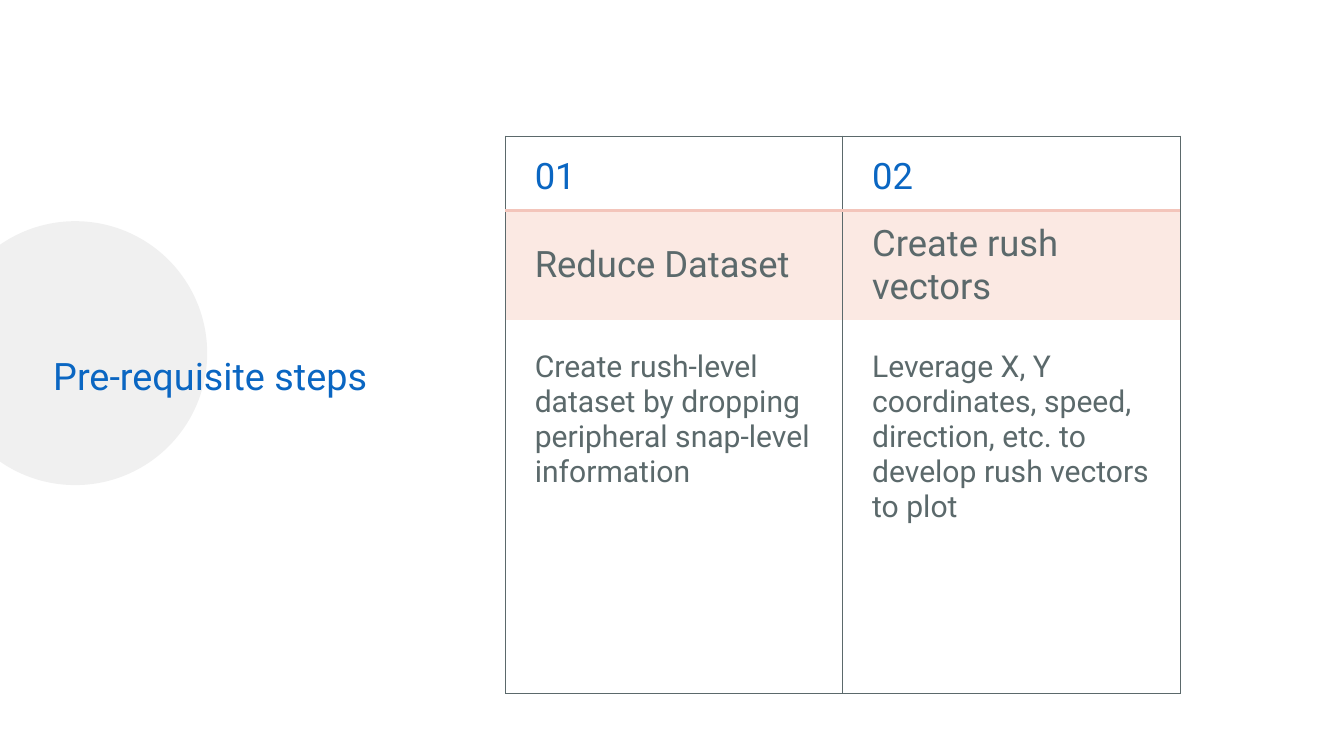
from dataclasses import dataclass
from typing import Optional

from lxml.etree import SubElement
from pptx import Presentation
from pptx.dml.color import RGBColor
from pptx.enum.shapes import MSO_SHAPE as Shape
from pptx.enum.text import MSO_ANCHOR as Anchor, MSO_AUTO_SIZE as AutoSize, PP_ALIGN as Align
from pptx.oxml.ns import qn
from pptx.util import Emu, Pt

PX = 12700  # 1920 x 1080 px slide
FONT = "Roboto"
BLUE = RGBColor(0x0A, 0x66, 0xC2)
SLATE = RGBColor(0x5B, 0x69, 0x6B)
BLUSH = RGBColor(0xFB, 0xE9, 0xE3)
ROSE = RGBColor(0xF3, 0xC5, 0xBB)
PALE_GREY = RGBColor(0xF0, 0xF0, 0xF0)


@dataclass(frozen=True)
class Border:
    color: RGBColor
    width: float


OUTLINE = Border(SLATE, 1)
ACCENT = Border(ROSE, 4.5)


@dataclass(frozen=True)
class RowStyle:
    height: int
    size: int
    color: RGBColor
    anchor: Anchor
    top_margin: int
    bottom_margin: int = 17
    fill: Optional[RGBColor] = None
    top: Optional[Border] = None
    bottom: Optional[Border] = None


@dataclass(frozen=True)
class Step:
    number: str
    name: str
    detail: str


ROWS = [
    RowStyle(107, 52, BLUE, Anchor.BOTTOM, 4, top=OUTLINE, bottom=ACCENT),
    RowStyle(107, 52, SLATE, Anchor.MIDDLE, 17, fill=BLUSH, top=ACCENT),
    RowStyle(534, 43, SLATE, Anchor.TOP, 42, bottom=OUTLINE),
]
STEPS = [
    Step("01", "Reduce Dataset",
         "Create rush-level dataset by dropping peripheral snap-level information"),
    Step("02", "Create rush vectors",
         "Leverage X, Y coordinates, speed, direction, etc. to develop rush vectors to plot"),
]
COLUMN_WIDTH = 482


def px(value: int) -> Emu:
    return Emu(value * PX)


def set_font(paragraph, size: int, color: RGBColor) -> None:
    font = paragraph.font
    font.name, font.size, font.bold = FONT, Pt(size), False
    font.color.rgb = color


def add_border(cell, edge: str, border: Optional[Border]) -> None:
    line = SubElement(cell._tc.get_or_add_tcPr(), qn(f"a:ln{edge}"))
    if border is None:
        SubElement(line, qn("a:noFill"))
        return
    line.set("w", str(Pt(border.width)))
    fill = SubElement(line, qn("a:solidFill"))
    SubElement(fill, qn("a:srgbClr")).set("val", str(border.color))


def format_cell(cell, text: str, style: RowStyle) -> None:
    cell.text = text
    cell.vertical_anchor = style.anchor
    cell.margin_left, cell.margin_right = px(42), px(17)
    cell.margin_top, cell.margin_bottom = px(style.top_margin), px(style.bottom_margin)
    set_font(cell.text_frame.paragraphs[0], style.size, style.color)
    # Borders come before the fill in the cell properties
    for edge, border in zip("LRTB", (OUTLINE, OUTLINE, style.top, style.bottom)):
        add_border(cell, edge, border)
    if style.fill is None:
        cell.fill.background()
    else:
        cell.fill.solid()
        cell.fill.fore_color.rgb = style.fill


def add_title(slide, text: str):
    title = slide.shapes.title
    title.left, title.top, title.width, title.height = px(76), px(449), px(490), px(119)
    frame = title.text_frame
    frame.text = text
    frame.word_wrap = True
    frame.auto_size = AutoSize.NONE
    frame.vertical_anchor = Anchor.BOTTOM
    frame.margin_left = frame.margin_top = frame.margin_right = frame.margin_bottom = 0
    paragraph = frame.paragraphs[0]
    paragraph.alignment = Align.LEFT
    paragraph.space_after = Pt(36)
    set_font(paragraph, 54, BLUE)
    return title


def add_circle(slide):
    circle = slide.shapes.add_shape(Shape.OVAL, px(-81), px(316), px(377), px(377))
    circle.shadow.inherit = False
    circle.fill.solid()
    circle.fill.fore_color.rgb = PALE_GREY
    circle.line.fill.background()
    return circle


def add_steps_table(slide, steps: list[Step]) -> None:
    table = slide.shapes.add_table(
        len(ROWS), len(steps), px(722), px(194),
        px(COLUMN_WIDTH * len(steps)), px(sum(row.height for row in ROWS))).table
    table.first_row = table.horz_banding = False
    for row, style in zip(table.rows, ROWS):
        row.height = px(style.height)
    for column, step in enumerate(steps):
        table.columns[column].width = px(COLUMN_WIDTH)
        for row, text in enumerate((step.number, step.name, step.detail)):
            format_cell(table.cell(row, column), text, ROWS[row])


def main() -> None:
    presentation = Presentation()
    presentation.slide_width, presentation.slide_height = px(1920), px(1080)
    slide = presentation.slides.add_slide(presentation.slide_layouts[5])

    # Title over the decorative circle
    title = add_title(slide, "Pre-requisite steps")
    circle = add_circle(slide)
    title.element.addprevious(circle.element)

    # One column per step
    add_steps_table(slide, STEPS)
    presentation.save("out.pptx")


if __name__ == "__main__":
    main()
